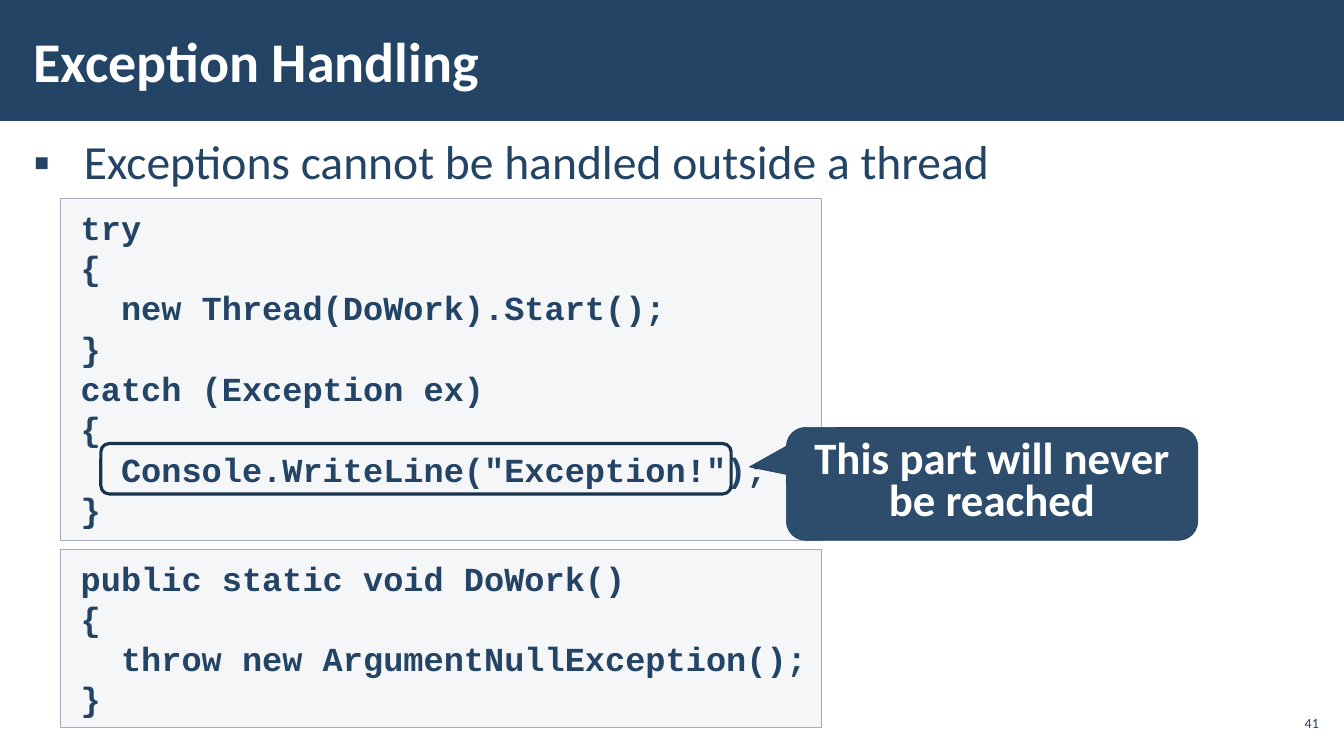
from pptx import Presentation
from pptx.dml.color import RGBColor
from pptx.enum.shapes import MSO_SHAPE
from pptx.enum.text import MSO_ANCHOR, MSO_AUTO_SIZE, PP_ALIGN
from pptx.oxml.ns import qn
from pptx.util import Inches, Pt
from lxml.etree import SubElement

NAVY = RGBColor(0x23, 0x44, 0x65)
DARK = RGBColor(0x1A, 0x33, 0x4C)
GREY = RGBColor(0xC2, 0xC7, 0xD2)
EDGE = RGBColor(0xA3, 0xAB, 0xBC)
WHITE = RGBColor(0xFF, 0xFF, 0xFF)
SANS, MONO = "Calibri", "Courier New"

TRY = """try
{
  new Thread(DoWork).Start();
}
catch (Exception ex)
{
  Console.WriteLine("Exception!");
}"""
WORK = """public static void DoWork()
{
  throw new ArgumentNullException();
}"""


def part(box, x, y, w, h):
    left, top, wide, high = box
    return (int(left + wide * x / 100), int(top + high * y / 100),
            int(wide * w / 100), int(high * h / 100))


def put(shape, box):
    shape.left, shape.top, shape.width, shape.height = box


def draw(slide, kind, box, fill=None, line=None, width=1, alpha=100):
    shape = slide.shapes.add_shape(kind, *box)
    shape.shadow.inherit = False
    if fill is None:
        shape.fill.background()
    else:
        shape.fill.solid()
        shape.fill.fore_color.rgb = fill
        if alpha < 100:
            tint = shape.element.spPr.find(".//" + qn("a:srgbClr"))
            SubElement(tint, qn("a:alpha"), val=str(alpha * 1000))
    if line is None:
        shape.line.fill.background()
    else:
        shape.line.color.rgb = line
        shape.line.width = Pt(width)
    return shape


def write(shape, text, size, color, font=SANS, bold=False,
          align=PP_ALIGN.LEFT, anchor=MSO_ANCHOR.TOP, pad=(0.12, 0.04)):
    frame = shape.text_frame
    frame.word_wrap = True
    frame.auto_size = MSO_AUTO_SIZE.NONE
    frame.vertical_anchor = anchor
    frame.margin_left = frame.margin_right = Inches(pad[0])
    frame.margin_top = frame.margin_bottom = Inches(pad[1])
    for row, line in enumerate(text.split("\n")):
        para = frame.add_paragraph() if row else frame.paragraphs[0]
        para.alignment = align
        run = para.add_run()
        run.text = line
        run.font.size = Pt(size)
        run.font.name = font
        run.font.bold = bold
        run.font.color.rgb = color
    return frame.paragraphs


def indent(para, left, first=0):
    props = para._p.get_or_add_pPr()
    props.set("marL", str(Inches(left)))
    props.set("indent", str(Inches(first)))
    return props


def header(slide, box):
    title = slide.shapes.title
    band = draw(slide, MSO_SHAPE.RECTANGLE, box, NAVY)
    title.element.addprevious(band.element)
    put(title, part(box, 1.58, 9.17, 78.02, 80.83))
    write(title, "Exception Handling", 40, WHITE, bold=True,
          anchor=MSO_ANCHOR.MIDDLE)


def point(slide, box):
    body = slide.placeholders[1]
    put(body, box)
    para = write(body, "Exceptions cannot be handled outside a thread",
                 34, NAVY)[0]
    para.line_spacing = 0.95
    para.space_before = para.space_after = Pt(6)
    SubElement(indent(para, 0.5, -0.5), qn("a:buChar"), char="▪")


def code(slide, box, text):
    panel = draw(slide, MSO_SHAPE.RECTANGLE, box, GREY, EDGE, alpha=15)
    for para in write(panel, text, 24, NAVY, MONO, True, pad=(0, 0.08)):
        indent(para, 0.2)


def remark(slide, box):
    draw(slide, MSO_SHAPE.ROUNDED_RECTANGLE,
         part(box, 5.3, 71.7, 82.8, 14.75), line=DARK, width=2.25)
    note = draw(slide, MSO_SHAPE.ROUNDED_RECTANGULAR_CALLOUT,
                part(box, 95.36, 66.96, 54.04, 33.04), NAVY, NAVY, 0.5, 95)
    for spot, value in enumerate((-0.59, -0.15, 0.17)):
        note.adjustments[spot] = value
    para = write(note, "This part will never be reached", 32, WHITE,
                 bold=True, align=PP_ALIGN.CENTER, pad=(0.1, 0.08))[0]
    para.line_spacing = Pt(30)


def footer(slide, box):
    write(slide.shapes.add_textbox(*box), "41", 10, NAVY,
          align=PP_ALIGN.RIGHT, anchor=MSO_ANCHOR.MIDDLE, pad=(0.04, 0.04))


def lesson(deck):
    slide = deck.slides.add_slide(deck.slide_layouts[1])
    page = (0, 0, deck.slide_width, deck.slide_height)
    header(slide, part(page, 0, 0, 100, 16))
    point(slide, part(page, 1.58, 17.47, 96.92, 9.87))
    upper = part(page, 4.5, 26.27, 56.64, 45.2)
    code(slide, upper, TRY)
    code(slide, part(page, 4.5, 72.67, 56.64, 23.6), WORK)
    remark(slide, upper)
    footer(slide, part(page, 94.9, 93.33, 3.53, 4.53))


deck = Presentation()
deck.slide_width, deck.slide_height = Inches(13.33), Inches(7.5)
lesson(deck)
deck.save("out.pptx")
